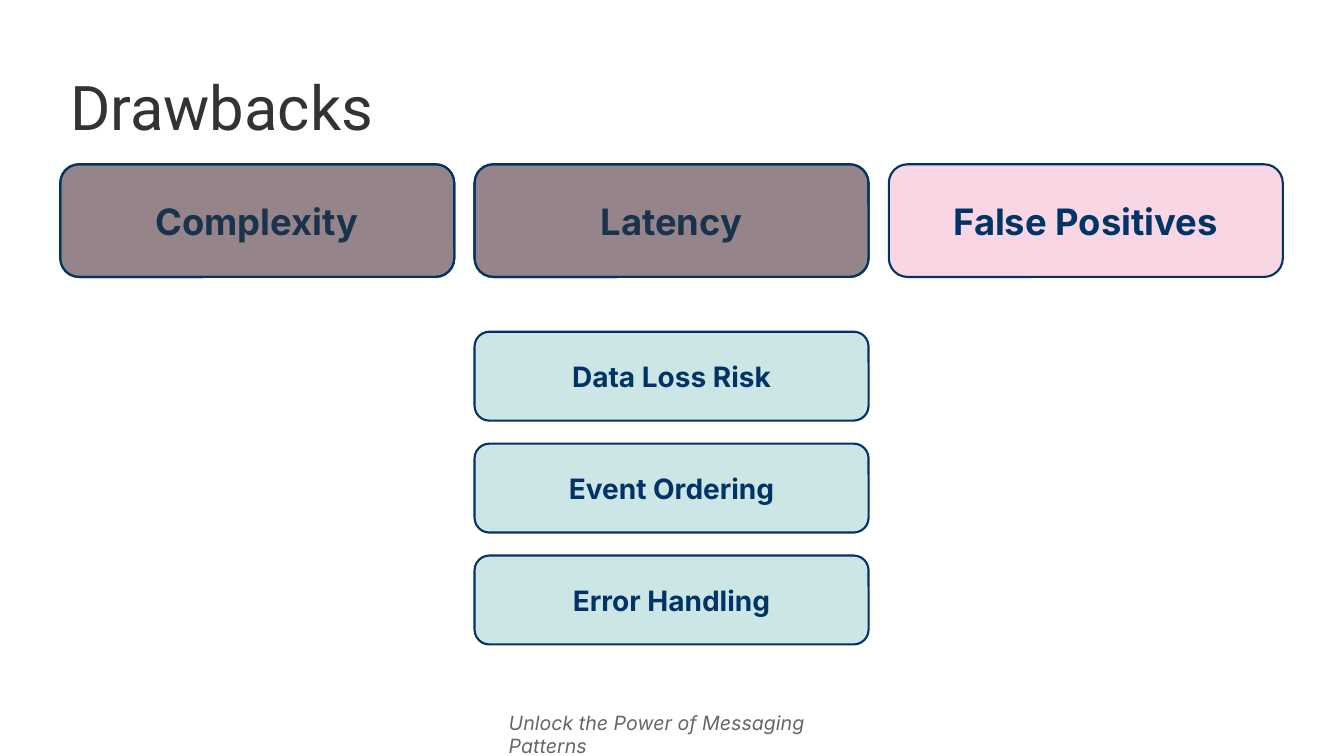
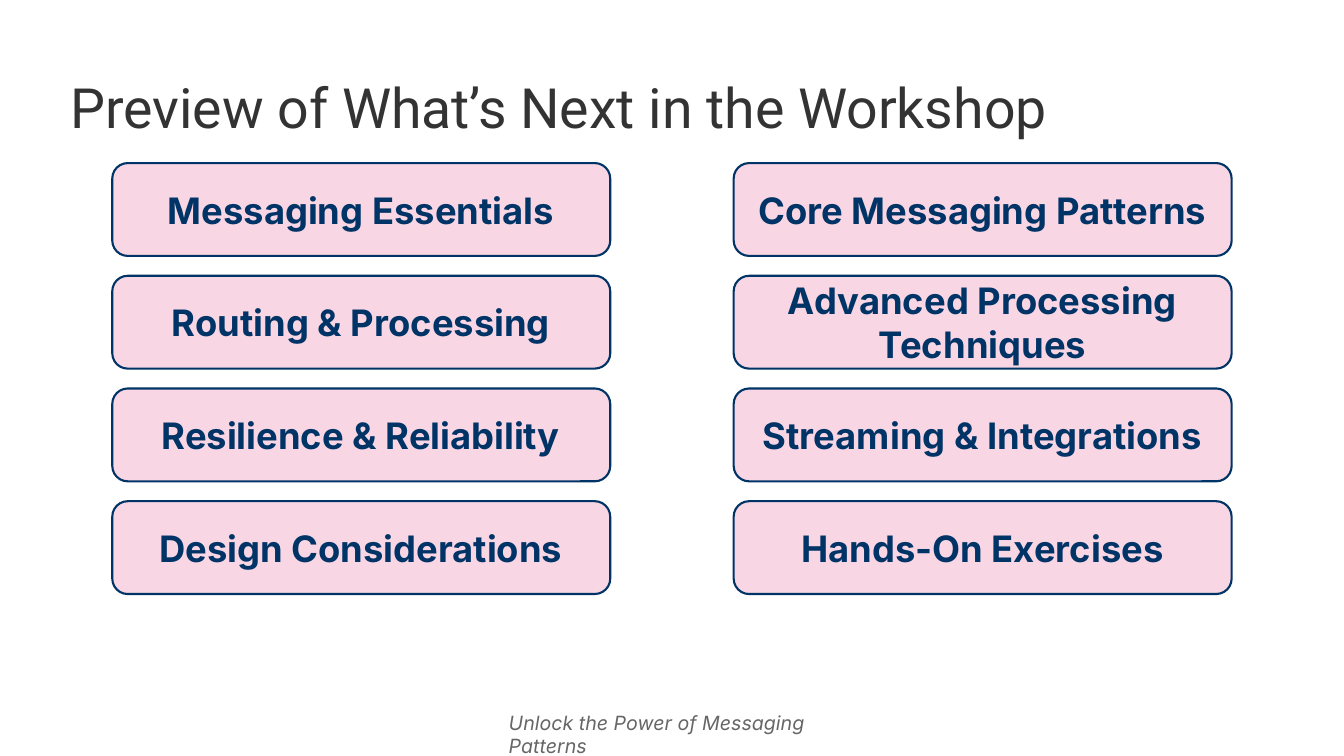
from lxml.etree import SubElement
from pptx import Presentation
from pptx.dml.color import RGBColor
from pptx.enum.shapes import MSO_SHAPE
from pptx.enum.text import MSO_ANCHOR, PP_ALIGN
from pptx.oxml.ns import qn
from pptx.util import Cm, Pt

NAVY = RGBColor(0x00, 0x33, 0x66)
PINK = RGBColor(0xDD, 0x33, 0x77)
TEAL = RGBColor(0x00, 0x80, 0x80)
CHARCOAL = RGBColor(0x33, 0x33, 0x33)
GRAY = RGBColor(0x66, 0x66, 0x66)

FOOTER = "Unlock the Power of Messaging Patterns"


def write_text(shape, text, size, color=NAVY, font="Inter", bold=False, italic=False,
               align=PP_ALIGN.CENTER, anchor=MSO_ANCHOR.MIDDLE, line_spacing=None):
    frame = shape.text_frame
    frame.word_wrap = True
    frame.vertical_anchor = anchor
    paragraph = frame.paragraphs[0]
    paragraph.alignment = align
    paragraph.line_spacing = line_spacing
    run = paragraph.add_run()
    run.text = text
    run.font.name = font
    run.font.size = Pt(size)
    run.font.bold = bold
    run.font.italic = italic
    run.font.color.rgb = color


def add_card(slide, left, top, width, height, color, opacity=20):
    """Add a rounded card; positions in centimetres, opacity in percent."""
    shape = slide.shapes.add_shape(
        MSO_SHAPE.ROUNDED_RECTANGLE, Cm(left), Cm(top), Cm(width), Cm(height))
    shape.shadow.inherit = False
    shape.fill.solid()
    shape.fill.fore_color.rgb = color
    color_element = shape.fill._xPr.find(qn("a:solidFill"))[0]
    SubElement(color_element, qn("a:alpha")).set("val", str(opacity * 1000))
    shape.line.color.rgb = NAVY
    shape.line.width = Pt(1.5)
    return shape


presentation = Presentation()
presentation.slide_width = Cm(33.87)
presentation.slide_height = Cm(19.05)

# Shared footer and title
slides = []
for title, title_size in [("Drawbacks", 44),
                          ("Preview of What’s Next in the Workshop", 39.6)]:
    slide = presentation.slides.add_slide(presentation.slide_layouts[6])
    footer_box = slide.shapes.add_textbox(Cm(12.57), Cm(17.78), Cm(8.69), Cm(0.86))
    write_text(footer_box, FOOTER, 14, color=GRAY, italic=True,
               align=PP_ALIGN.LEFT, anchor=MSO_ANCHOR.TOP)
    title_box = slide.shapes.add_textbox(Cm(1.52), Cm(1.27), Cm(30.84), Cm(3.05))
    write_text(title_box, title, title_size, color=CHARCOAL, font="Roboto",
               align=PP_ALIGN.LEFT, line_spacing=0.9)
    slides.append(slide)
drawbacks_slide, preview_slide = slides

# Drawbacks: row of three cards, the first two dimmed
CARD_WIDTH = 9.93
column_lefts = [1.52 + 10.44 * column for column in range(3)]
for left, label in zip(column_lefts, ["Complexity", "Latency", "False Positives"]):
    card = add_card(drawbacks_slide, left, 4.14, CARD_WIDTH, 2.84, PINK)
    write_text(card, label, 26, bold=True)
for left in column_lefts[:2]:
    add_card(drawbacks_slide, left, 4.14, CARD_WIDTH, 2.84, CHARCOAL, opacity=50)

# Drawbacks: details below the middle card
for row, label in enumerate(["Data Loss Risk", "Event Ordering", "Error Handling"]):
    card = add_card(drawbacks_slide, column_lefts[1], 8.36 + 2.82 * row,
                    CARD_WIDTH, 2.24, TEAL)
    write_text(card, label, 20, bold=True)

# Preview: two columns of topics, read row by row
topics = [
    "Messaging Essentials", "Core Messaging Patterns",
    "Routing & Processing", "Advanced Processing Techniques",
    "Resilience & Reliability", "Streaming & Integrations",
    "Design Considerations", "Hands-On Exercises",
]
for index, label in enumerate(topics):
    row, column = divmod(index, 2)
    card = add_card(preview_slide, 2.83 + 15.66 * column, 4.11 + 2.84 * row,
                    12.55, 2.34, PINK)
    write_text(card, label, 26, bold=True)

presentation.save("out.pptx")
